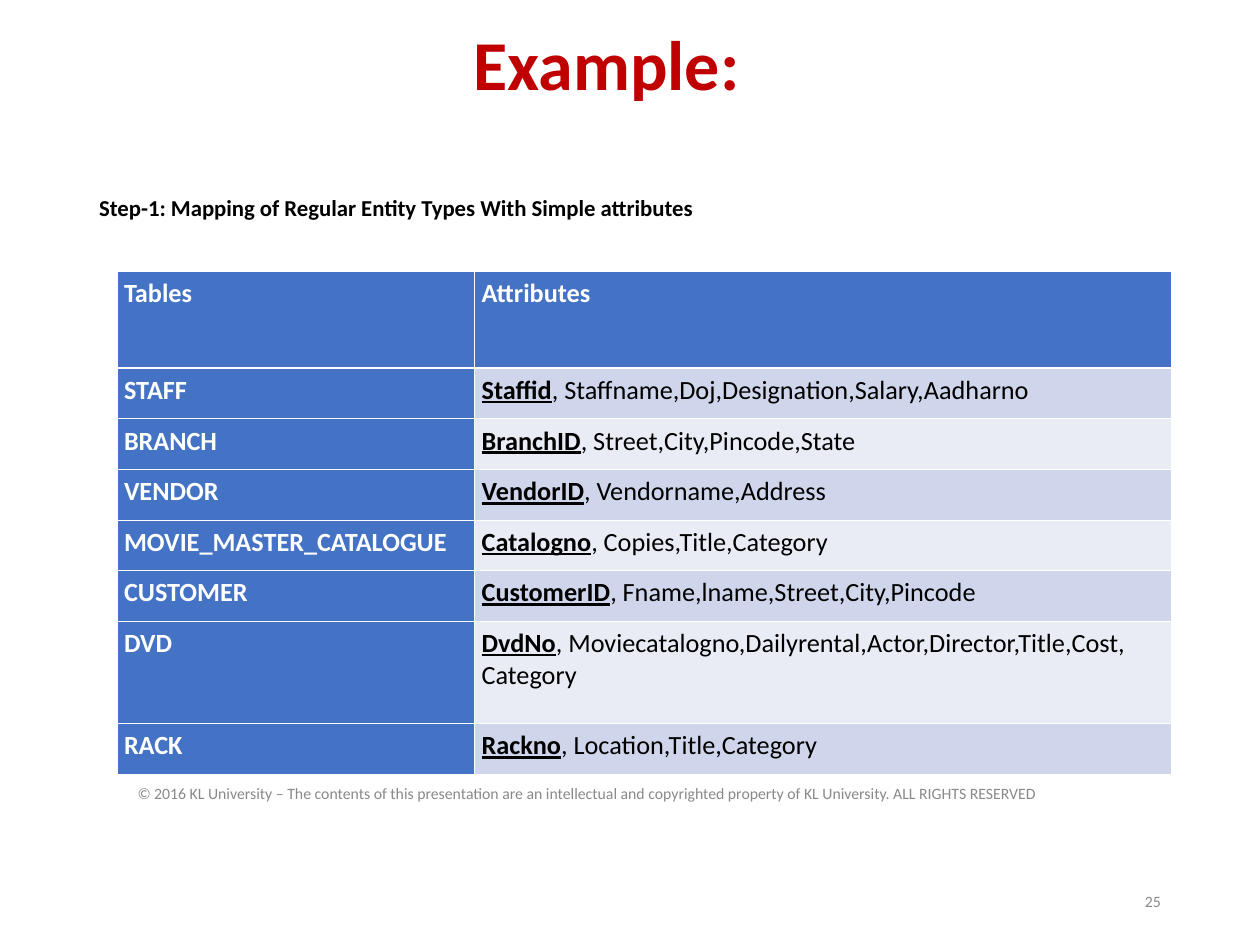
from lxml.etree import SubElement
from pptx import Presentation
from pptx.dml.color import RGBColor
from pptx.enum.text import MSO_ANCHOR, PP_ALIGN
from pptx.oxml.ns import qn
from pptx.util import Cm, Pt

WHITE = RGBColor(0xFF, 0xFF, 0xFF)
BLACK = RGBColor(0x00, 0x00, 0x00)
RED = RGBColor(0xC0, 0x00, 0x00)
GREY = RGBColor(0x89, 0x89, 0x89)
BLUE = RGBColor(0x44, 0x72, 0xC4)
BANDS = (RGBColor(0xCF, 0xD5, 0xEA), RGBColor(0xE9, 0xEB, 0xF5))

FONT = "Calibri"
TABLE_SIZE = 15
THIN, THICK = Pt(0.45), Pt(1.47)
HEADINGS = ("Tables", "Attributes")
ENTITIES = (
    ("STAFF", "Staffid", ", Staffname,Doj,Designation,Salary,Aadharno"),
    ("BRANCH", "BranchID", ", Street,City,Pincode,State"),
    ("VENDOR", "VendorID", ", Vendorname,Address"),
    ("MOVIE_MASTER_CATALOGUE", "Catalogno", ", Copies,Title,Category"),
    ("CUSTOMER", "CustomerID", ", Fname,lname,Street,City,Pincode"),
    ("DVD", "DvdNo", ", Moviecatalogno,Dailyrental,Actor,Director,Title,Cost, Category"),
    ("RACK", "Rackno", ", Location,Title,Category"),
)
COLUMN_WIDTHS = (7.21, 14.05)
HEADER_HEIGHT, ROW_HEIGHT, TALL_ROW_HEIGHT = 1.96, 1.02, 2.06
TALL_ENTITY = "DVD"


def write(paragraph, text, size=TABLE_SIZE, color=BLACK, bold=False, underline=False):
    """Add one formatted run to a paragraph."""
    run = paragraph.add_run()
    run.text = text
    font = run.font
    font.name, font.size, font.bold, font.underline = FONT, Pt(size), bold, underline
    font.color.rgb = color


def add_label(slide, box, text, align=PP_ALIGN.LEFT, anchor=MSO_ANCHOR.TOP, **text_format):
    """Place one line of text in a box given in centimetres."""
    frame = slide.shapes.add_textbox(*map(Cm, box)).text_frame
    frame.word_wrap = True
    frame.vertical_anchor = anchor
    paragraph = frame.paragraphs[0]
    paragraph.alignment = align
    write(paragraph, text, **text_format)


def style_cell(cell, fill, top=THIN, bottom=THIN):
    """Set the margins, white borders and fill of a table cell."""
    cell.margin_left = cell.margin_right = Cm(0.14)
    cell.margin_top = cell.margin_bottom = Cm(0.13)
    properties = cell._tc.get_or_add_tcPr()
    for side, width in (("lnL", THIN), ("lnR", THIN), ("lnT", top), ("lnB", bottom)):
        border = SubElement(properties, qn(f"a:{side}"), w=str(int(width)))
        solid = SubElement(border, qn("a:solidFill"))
        SubElement(solid, qn("a:srgbClr"), val=str(WHITE))
    cell.fill.solid()
    cell.fill.fore_color.rgb = fill


def add_entity_table(slide, left, top):
    """Build the table of entities and their attributes from its top left corner."""
    heights = [HEADER_HEIGHT] + [
        TALL_ROW_HEIGHT if name == TALL_ENTITY else ROW_HEIGHT for name, _, _ in ENTITIES
    ]
    table = slide.shapes.add_table(
        len(heights), len(COLUMN_WIDTHS),
        Cm(left), Cm(top), Cm(sum(COLUMN_WIDTHS)), Cm(sum(heights)),
    ).table
    for column, width in zip(table.columns, COLUMN_WIDTHS):
        column.width = Cm(width)
    for row, height in zip(table.rows, heights):
        row.height = Cm(height)

    for column, heading in enumerate(HEADINGS):
        cell = table.cell(0, column)
        style_cell(cell, BLUE, bottom=THICK)
        write(cell.text_frame.paragraphs[0], heading, color=WHITE, bold=True)

    for row, (name, key, attributes) in enumerate(ENTITIES, start=1):
        name_cell, attribute_cell = table.cell(row, 0), table.cell(row, 1)
        top_border = THICK if row == 1 else THIN
        style_cell(name_cell, BLUE, top=top_border)
        style_cell(attribute_cell, BANDS[(row - 1) % 2], top=top_border)
        write(name_cell.text_frame.paragraphs[0], name, color=WHITE, bold=True)
        attribute_line = attribute_cell.text_frame.paragraphs[0]
        write(attribute_line, key, bold=True, underline=True)
        write(attribute_line, attributes)


def add_example_slide(presentation):
    """Compose the example slide."""
    slide = presentation.slides.add_slide(presentation.slide_layouts[6])
    add_label(slide, (17.93, 17.65, 5.72, 1.02), "25", size=9, color=GREY,
              align=PP_ALIGN.RIGHT, anchor=MSO_ANCHOR.MIDDLE)
    add_label(slide, (5.36, 0.28, 13.74, 1.96), "Example:", size=40, color=RED,
              bold=True, align=PP_ALIGN.CENTER)
    add_label(slide, (1.75, 15.62, 20.14, 0.76),
              "© 2016 KL University – The contents of this presentation are an intellectual "
              "and copyrighted property of KL University. ALL RIGHTS RESERVED",
              size=9, color=GREY, align=PP_ALIGN.CENTER, anchor=MSO_ANCHOR.MIDDLE)
    add_label(slide, (1.75, 3.78, 18.31, 0.81),
              "Step-1: Mapping of Regular Entity Types With Simple attributes",
              size=13, bold=True)
    add_entity_table(slide, 2.36, 5.46)


def main():
    """Create and save the presentation."""
    presentation = Presentation()
    presentation.slide_width, presentation.slide_height = Cm(25.4), Cm(19.05)
    add_example_slide(presentation)
    presentation.save("out.pptx")


if __name__ == "__main__":
    main()
